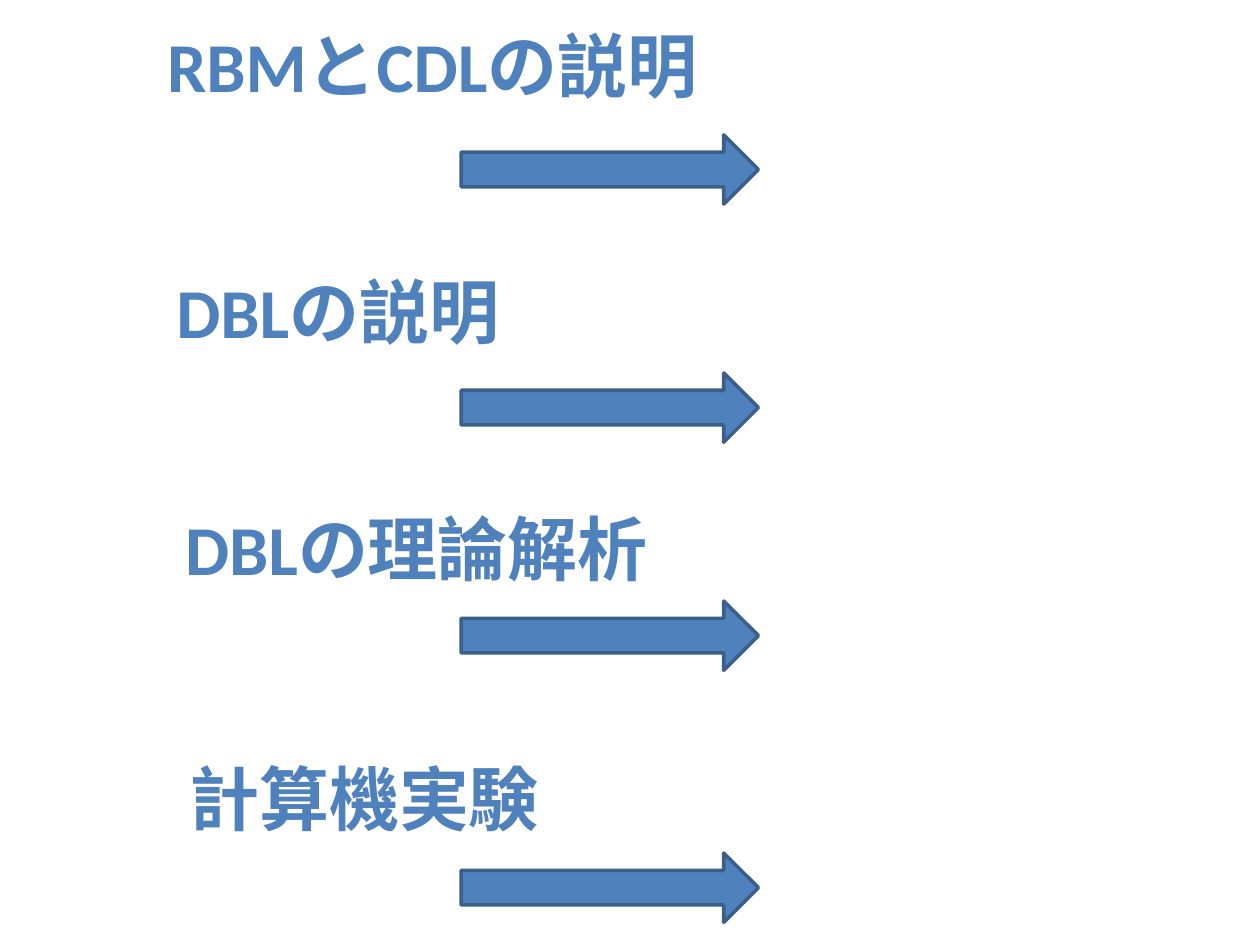
"""Build a slide of four topics, each followed by a right arrow."""
from lxml import etree
from pptx import Presentation
from pptx.dml.color import RGBColor
from pptx.enum.shapes import MSO_SHAPE
from pptx.enum.text import MSO_AUTO_SIZE, PP_ALIGN
from pptx.oxml.ns import qn
from pptx.util import Inches, Pt

ARROW = MSO_SHAPE.RIGHT_ARROW
GROW = MSO_AUTO_SIZE.SHAPE_TO_FIT_TEXT
CENTER = PP_ALIGN.CENTER
HUES = {"blue": "4F81BD", "edge": "3A5F8C", "rim": "632523"}
FONT = {"name": "Calibri", "size": Pt(40), "bold": True}
TOPICS = [
    ("RBMとCDLの説明", 0.28, 0.13, 6.3, 1.07),
    ("DBLの説明", 0.83, 2.08, 3.7, 2.96),
    ("DBLの理論解析", 0.51, 3.96, 5.59, 4.77),
    ("計算機実験", 0.62, 5.95, 4.54, 6.77),
]

deck = Presentation()
deck.slide_width = Inches(10)
deck.slide_height = Inches(7.5)
slide = deck.slides.add_slide(deck.slide_layouts[6])

for words, left, top, width, drop in TOPICS:
    box = slide.shapes.add_textbox(Inches(left), Inches(top), Inches(width), Inches(0.77))
    frame = box.text_frame
    frame.word_wrap = True
    frame.auto_size = GROW
    para = frame.paragraphs[0]
    para.alignment = CENTER
    run = para.add_run()
    run.text = words
    for key, value in FONT.items():
        setattr(run.font, key, value)
    run.font.color.rgb = RGBColor.from_string(HUES["blue"])
    rim = etree.Element(qn("a:ln"), w=str(Pt(1.42)))
    fill = etree.SubElement(rim, qn("a:solidFill"))
    etree.SubElement(fill, qn("a:srgbClr"), val=HUES["rim"])
    run.font._element.insert(0, rim)

    arrow = slide.shapes.add_shape(ARROW, Inches(3.66), Inches(drop), Inches(2.36), Inches(0.55))
    arrow.shadow.inherit = False
    arrow.fill.solid()
    arrow.fill.fore_color.rgb = RGBColor.from_string(HUES["blue"])
    arrow.line.color.rgb = RGBColor.from_string(HUES["edge"])
    arrow.line.width = Pt(2)

deck.save("out.pptx")
